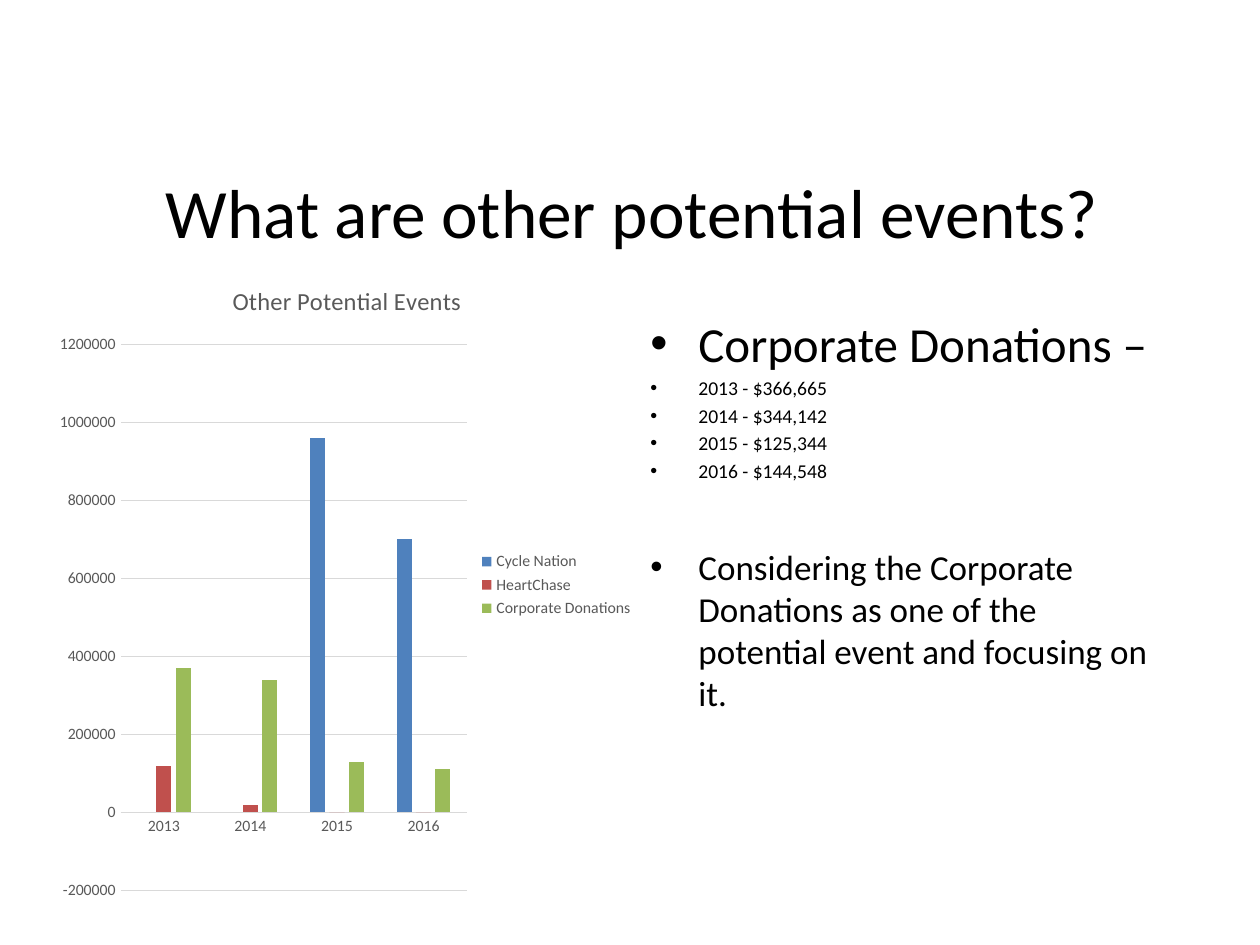
import pptx
import pptx.chart.data
import pptx.dml.color
import pptx.enum.chart
import pptx.enum.text
import pptx.oxml
import pptx.oxml.ns
import pptx.util

PX = 914400 / 126
FONT = "Calibri"
BLACK = pptx.dml.color.RGBColor(0x00, 0x00, 0x00)
GRAY = pptx.dml.color.RGBColor(0x59, 0x59, 0x59)
GRID = pptx.dml.color.RGBColor(0xD9, 0xD9, 0xD9)
BLUE = pptx.dml.color.RGBColor(0x4F, 0x81, 0xBD)
RED = pptx.dml.color.RGBColor(0xC0, 0x50, 0x4D)
GREEN = pptx.dml.color.RGBColor(0x9B, 0xBB, 0x59)

YEARS = ["2013", "2014", "2015", "2016"]
EVENTS = [
    ("Cycle Nation", [None, None, 960000, 700000], BLUE),
    ("HeartChase", [120000, 20000, 0, 0], RED),
    ("Corporate Donations", [370000, 340000, 130000, 110000], GREEN),
]
# text, size in points, space before in points
POINTS = [
    ("Corporate Donations –", 28, 0),
    ("2013 - $366,665", 11.2, 2.3),
    ("2014 - $344,142", 11.2, 2.3),
    ("2015 - $125,344", 11.2, 2.3),
    ("2016 - $144,548", 11.2, 2.3),
    ("Considering the Corporate Donations as one of the potential event "
     "and focusing on it.", 20, 36),
]


def px(*lengths):
    return [pptx.util.Emu(round(length * PX)) for length in lengths]


def style(font, size, color):
    font.name = FONT
    font.size = pptx.util.Pt(size)
    font.color.rgb = color
    font.bold = False


def add_text_box(slide, box):
    frame = slide.shapes.add_textbox(*px(*box)).text_frame
    frame.word_wrap = True
    return frame


def add_title(slide, text):
    frame = add_text_box(slide, (88, 185, 1088, 51))
    frame.vertical_anchor = pptx.enum.text.MSO_ANCHOR.MIDDLE
    heading = frame.paragraphs[0]
    heading.text = text
    heading.alignment = pptx.enum.text.PP_ALIGN.CENTER
    style(heading.font, 39.6, BLACK)


def add_bullet(paragraph, indent):
    properties = paragraph._p.get_or_add_pPr()
    properties.set("marL", str(indent))
    properties.set("indent", str(-indent))
    for tag in ('buFont typeface="Arial"', 'buChar char="•"'):
        name, attribute = tag.split(" ")
        properties.append(pptx.oxml.parse_xml(
            f'<a:{name} {pptx.oxml.ns.nsdecls("a")} {attribute}/>'))


def add_points(slide, points):
    frame = add_text_box(slide, (638, 307, 536, 450))
    indent, = px(48)
    for index, (text, size, gap) in enumerate(points):
        point = frame.add_paragraph() if index else frame.paragraphs[0]
        point.text = text
        add_bullet(point, indent)
        point.space_before = pptx.util.Pt(gap)
        style(point.font, size, BLACK)


def place(element, position, settings):
    """Give a chart part a manual layout, in fractions of the chart."""
    old = element.find(pptx.oxml.ns.qn("c:layout"))
    if old is not None:
        element.remove(old)
    values = "".join(f'<c:{tag} val="{value}"/>' for tag, value in settings)
    element.insert(position, pptx.oxml.parse_xml(
        f'<c:layout {pptx.oxml.ns.nsdecls("c")}>'
        f'<c:manualLayout>{values}</c:manualLayout></c:layout>'))


def style_axes(chart):
    for axis in (chart.category_axis, chart.value_axis):
        axis.major_tick_mark = pptx.enum.chart.XL_TICK_MARK.NONE
        axis.minor_tick_mark = pptx.enum.chart.XL_TICK_MARK.NONE
        style(axis.tick_labels.font, 9, GRAY)
    values = chart.value_axis
    values.minimum_scale = -200000
    values.maximum_scale = 1200000
    values.major_unit = 200000
    values.format.line.fill.background()
    values.has_major_gridlines = True
    for line in (chart.category_axis.format.line,
                 values.major_gridlines.format.line):
        line.color.rgb = GRID
        line.width = pptx.util.Pt(0.75)


def add_events_chart(slide):
    data = pptx.chart.data.CategoryChartData()
    data.categories = YEARS
    for name, amounts, _ in EVENTS:
        data.add_series(name, amounts)
    chart = slide.shapes.add_chart(
        pptx.enum.chart.XL_CHART_TYPE.COLUMN_CLUSTERED,
        *px(49, 260, 597, 650), data).chart
    style(chart.font, 10, BLACK)

    chart.has_title = True
    heading = chart.chart_title.text_frame.paragraphs[0]
    heading.text = "Other Potential Events"
    style(heading.font, 14, GRAY)
    chart.chart_title.include_in_layout = False
    place(chart.chart_title._element, 1,
          [("xMode", "edge"), ("yMode", "edge"), ("x", 0.3), ("y", 0.03)])

    chart.has_legend = True
    chart.legend.position = pptx.enum.chart.XL_LEGEND_POSITION.RIGHT
    chart.legend.include_in_layout = False
    style(chart.legend.font, 9, GRAY)

    style_axes(chart)
    plot = chart.plots[0]
    plot.gap_width = 219
    plot.overlap = -27
    plot.vary_by_categories = False
    for series, (_, _, color) in zip(plot.series, EVENTS):
        series.format.fill.solid()
        series.format.fill.fore_color.rgb = color
        series.invert_if_negative = False
    place(chart._chartSpace.chart.plotArea, 0,
          [("layoutTarget", "inner"), ("xMode", "edge"), ("yMode", "edge"),
           ("x", 0.12), ("y", 0.13), ("w", 0.58), ("h", 0.84)])


def main():
    deck = pptx.Presentation()
    deck.slide_width, deck.slide_height = px(1260, 945)
    slide = deck.slides.add_slide(deck.slide_layouts[6])
    add_title(slide, "What are other potential events?")
    add_points(slide, POINTS)
    add_events_chart(slide)
    deck.save("out.pptx")


if __name__ == "__main__":
    main()
